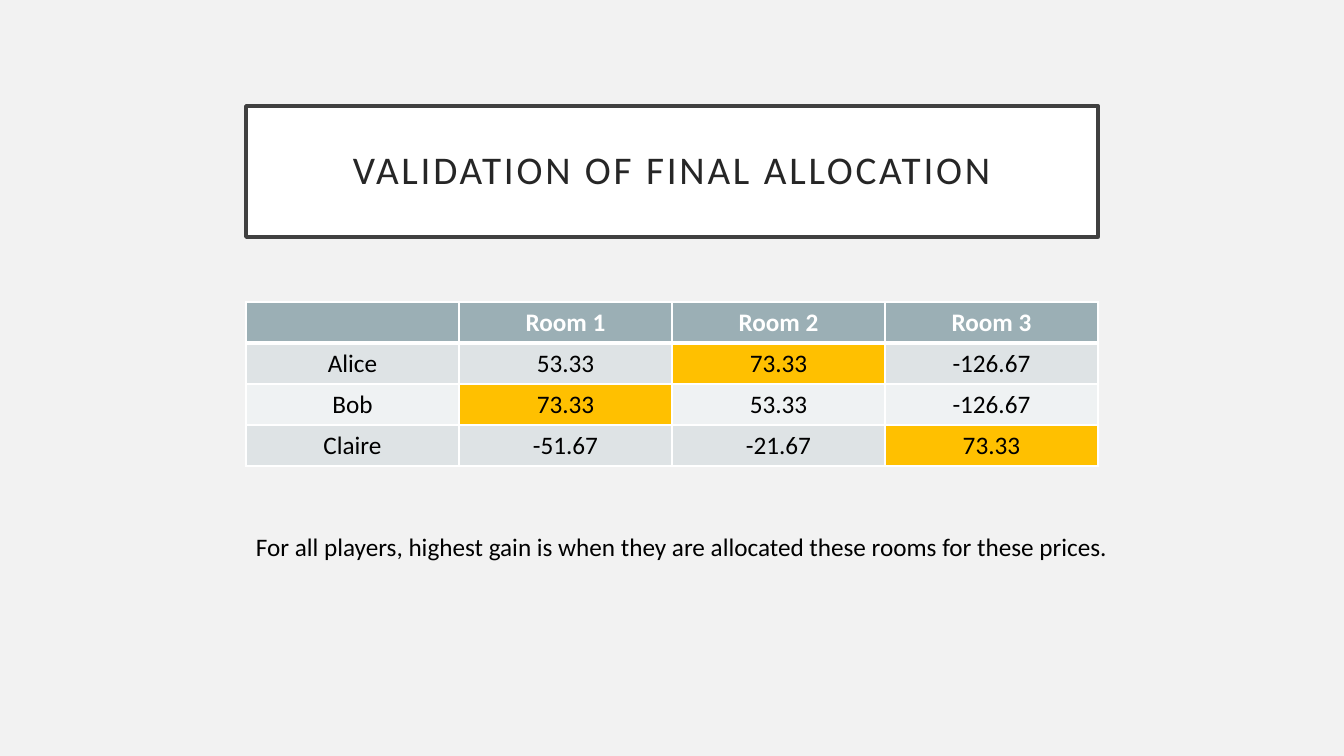
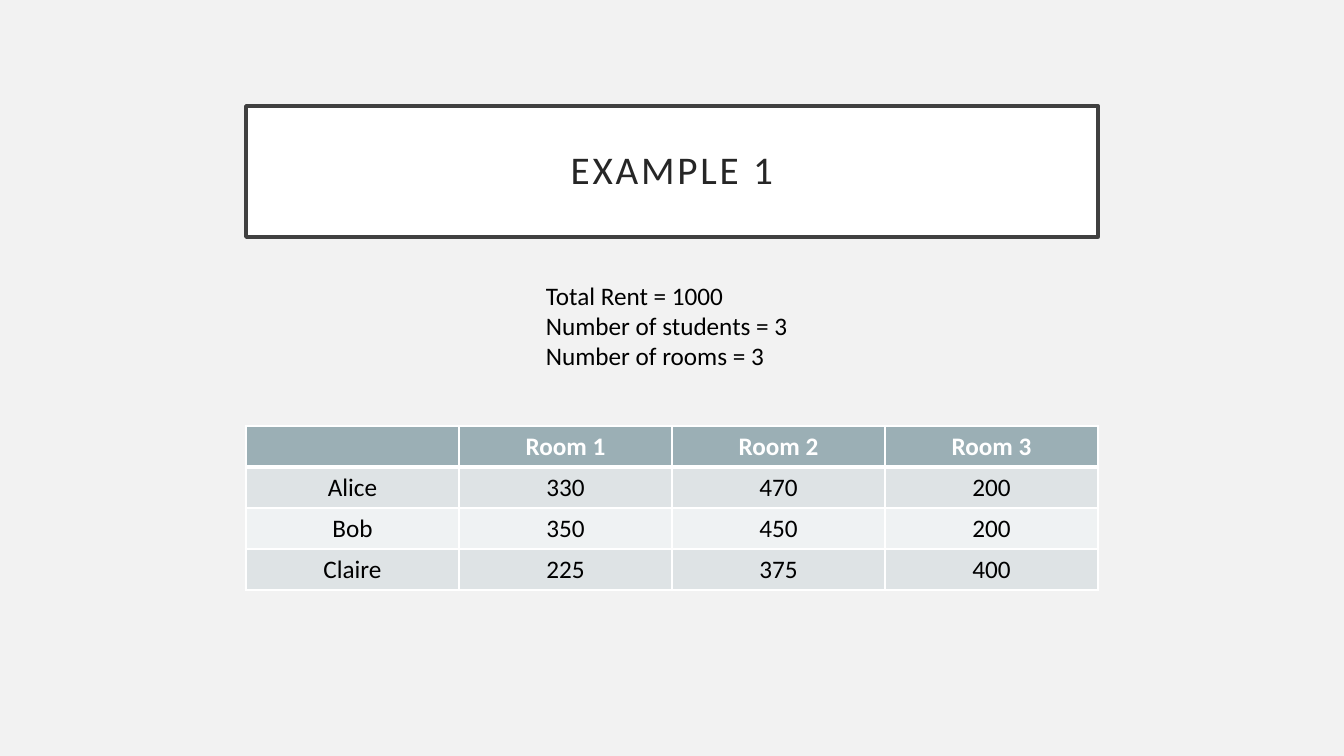
"""Build two slides on a room allocation example, each with a title, a table and a note."""
from lxml import etree
from pptx import Presentation
from pptx.dml.color import RGBColor
from pptx.enum.text import MSO_ANCHOR, MSO_AUTO_SIZE, PP_ALIGN
from pptx.oxml.ns import qn
from pptx.util import Inches, Pt

CENTER, LEFT = PP_ALIGN.CENTER, PP_ALIGN.LEFT
MIDDLE, TOP = MSO_ANCHOR.MIDDLE, MSO_ANCHOR.TOP
NO_FIT, GROW = MSO_AUTO_SIZE.NONE, MSO_AUTO_SIZE.SHAPE_TO_FIT_TEXT
FONT = "Calibri"
COLORS = {
    "background": "F2F2F2", "white": "FFFFFF", "frame": "404040", "title": "262626",
    "text": "000000", "header": "9BAFB5", "odd": "DEE3E5", "even": "EFF2F3",
    "best": "FFC000",
}
PX = Inches(1) / 100.8
COL_W, ROW_H = 213, 41
HEADER = ["", "Room 1", "Room 2", "Room 3"]
SLIDES = [
    {
        "title": "VALIDATION OF FINAL ALLOCATION",
        "table_top": 302,
        "rows": [["Alice", "53.33", "73.33", "-126.67"],
                 ["Bob", "73.33", "53.33", "-126.67"],
                 ["Claire", "-51.67", "-21.67", "73.33"]],
        "mark_best": True,
        "note": ["For all players, highest gain is when they are allocated "
                 "these rooms for these prices."],
        "note_box": (246, 526, 872, 40),
    },
    {
        "title": "EXAMPLE 1",
        "table_top": 426,
        "rows": [["Alice", "330", "470", "200"],
                 ["Bob", "350", "450", "200"],
                 ["Claire", "225", "375", "400"]],
        "mark_best": False,
        "note": ["Total Rent = 1000", "Number of students = 3", "Number of rooms = 3"],
        "note_box": (536, 275, 270, 102),
    },
]


def px(*lengths):
    return [round(n * PX) for n in lengths]


def style(p, size, color, align, bold=False):
    p.alignment = align
    p.font.name, p.font.size, p.font.bold = FONT, Pt(size), bold
    p.font.color.rgb = RGBColor.from_string(COLORS[color])


prs = Presentation()
prs.slide_width, prs.slide_height = px(1344, 756)
bg = prs.slide_master.background.fill
bg.solid()
bg.fore_color.rgb = RGBColor.from_string(COLORS["background"])

for content in SLIDES:
    s = prs.slides.add_slide(prs.slide_layouts[5])

    title = s.shapes.title
    title.left, title.top, title.width, title.height = px(246, 106, 852, 131)
    title.fill.solid()
    title.fill.fore_color.rgb = RGBColor.from_string(COLORS["white"])
    title.line.color.rgb = RGBColor.from_string(COLORS["frame"])
    title.line.width = Pt(2.5)
    tf = title.text_frame
    tf.text = content["title"]
    tf.auto_size, tf.vertical_anchor, tf.word_wrap = NO_FIT, MIDDLE, True
    tf.margin_left = tf.margin_right = tf.margin_top = tf.margin_bottom = Inches(0.2)
    p = tf.paragraphs[0]
    p.line_spacing = 0.9
    style(p, 28, "title", CENTER)
    p.runs[0].font._element.set("spc", "200")

    rows = [HEADER] + content["rows"]
    table = s.shapes.add_table(
        len(rows), len(HEADER),
        *px(246, content["table_top"], COL_W * len(HEADER), ROW_H * len(rows))).table
    for col in table.columns:
        col.width = px(COL_W)[0]
    for i, values in enumerate(rows):
        table.rows[i].height = px(ROW_H)[0]
        best = max(values[1:], key=float) if i and content["mark_best"] else None
        for j, value in enumerate(values):
            cell = table.cell(i, j)
            cell.text = value
            style(cell.text_frame.paragraphs[0], 18, "text" if i else "white", CENTER, i == 0)
            cell.vertical_anchor = TOP
            if i and j:
                cell.vertical_anchor = MIDDLE
                cell.margin_left = cell.margin_right = cell.margin_top = Inches(0.01)
                cell.margin_bottom = 0

            tcPr = cell._tc.get_or_add_tcPr()
            for side in "LRTB":
                thick = (i, side) in ((0, "B"), (1, "T"))
                ln = etree.SubElement(tcPr, qn("a:ln" + side), w=str(Pt(3 if thick else 1)))
                fill = etree.SubElement(ln, qn("a:solidFill"))
                etree.SubElement(fill, qn("a:srgbClr"), val=COLORS["white"])

            band = "header" if i == 0 else "odd" if i % 2 else "even"
            cell.fill.solid()
            cell.fill.fore_color.rgb = RGBColor.from_string(
                COLORS["best" if value == best else band])

    tf = s.shapes.add_textbox(*px(*content["note_box"])).text_frame
    tf.text = "\n".join(content["note"])
    tf.word_wrap, tf.auto_size = False, GROW
    for p in tf.paragraphs:
        style(p, 18, "text", LEFT)

prs.save("out.pptx")
